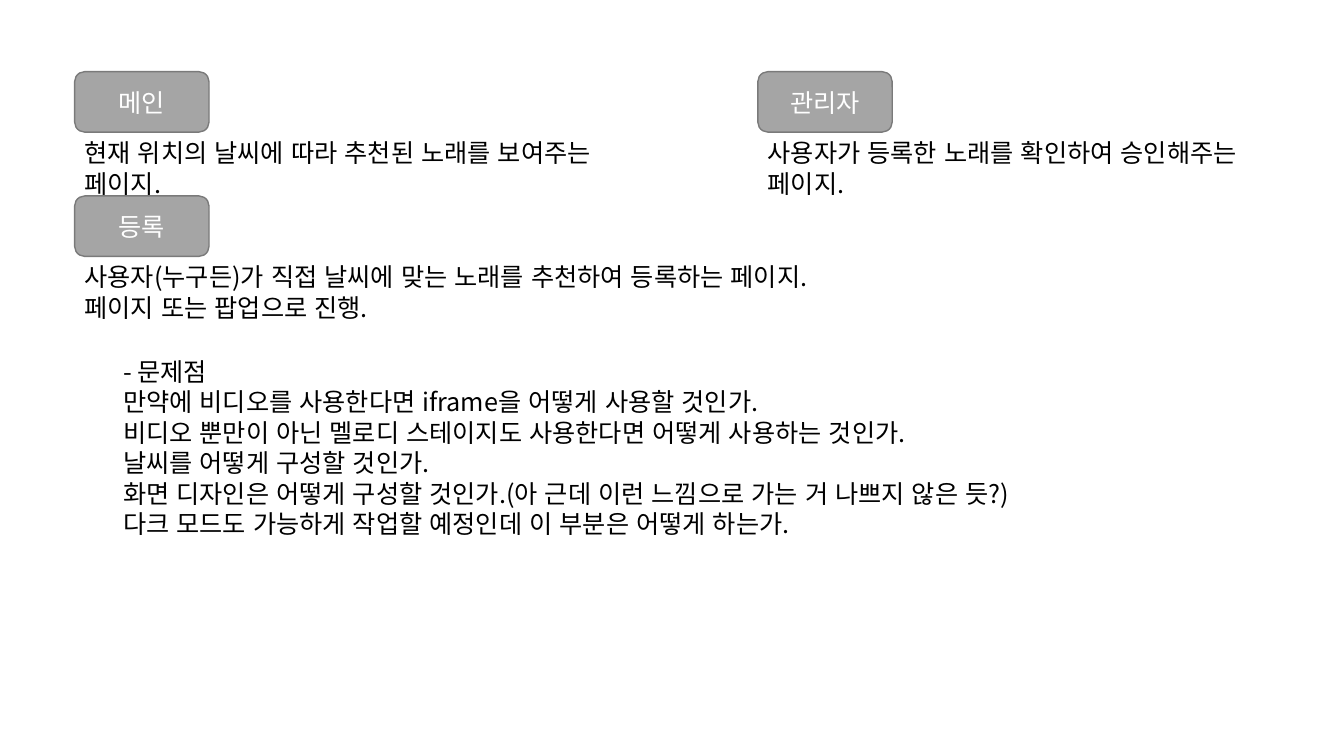
from pptx import Presentation
from pptx.dml.color import RGBColor
from pptx.enum.lang import MSO_LANGUAGE_ID
from pptx.enum.shapes import MSO_SHAPE
from pptx.enum.text import MSO_ANCHOR, PP_ALIGN
from pptx.oxml.ns import qn
from pptx.util import Inches, Pt

COLORS = {"badge": "A5A5A5", "edge": "7A7A7A", "light": "FFFFFF", "ink": "000000"}
COLUMNS, ROWS = 36, 25
BADGE_WIDTH, BADGE_HEIGHT = 3.6, 2


class PlanSlide:
    """Hold the text style and the current slide of the page plan."""

    def __init__(self, presentation):
        """Add a blank slide and derive the grid from its size."""
        self.slide = presentation.slides.add_slide(presentation.slide_layouts[6])
        self.column = presentation.slide_width / COLUMNS
        self.row = presentation.slide_height / ROWS
        self.font, self.size, self.leading = "Noto Sans CJK KR", Pt(18), Pt(21.8)

    def place(self, left, top, width, height):
        """Turn grid units into slide lengths."""
        return (round(left * self.column), round(top * self.row),
                round(width * self.column), round(height * self.row))

    def add_lines(self, frame, lines, color, align):
        """Add each line as one styled paragraph."""
        frame.word_wrap = True
        for index, line in enumerate(lines):
            paragraph = frame.add_paragraph() if index else frame.paragraphs[0]
            paragraph.alignment = align
            paragraph.line_spacing = self.leading
            run = paragraph.add_run()
            run.text = line
            run.font.name, run.font.size = self.font, self.size
            run.font.language_id = MSO_LANGUAGE_ID.KOREAN
            run.font.color.rgb = RGBColor.from_string(COLORS[color])
            properties = run.font._element
            east_asian = properties.makeelement(qn("a:ea"), {"typeface": self.font})
            properties.find(qn("a:latin")).addnext(east_asian)

    def badge(self, left, top, label):
        """Draw a rounded page label."""
        shape = self.slide.shapes.add_shape(
            MSO_SHAPE.ROUNDED_RECTANGLE, *self.place(left, top, BADGE_WIDTH, BADGE_HEIGHT))
        shape.shadow.inherit = False
        shape.fill.solid()
        shape.fill.fore_color.rgb = RGBColor.from_string(COLORS["badge"])
        shape.line.color.rgb = RGBColor.from_string(COLORS["edge"])
        shape.line.width = Pt(1)
        shape.text_frame.vertical_anchor = MSO_ANCHOR.MIDDLE
        self.add_lines(shape.text_frame, [label], "light", PP_ALIGN.CENTER)

    def text(self, left, top, width, height, lines):
        """Add a left-aligned text box."""
        box = self.slide.shapes.add_textbox(*self.place(left, top, width, height))
        self.add_lines(box.text_frame, lines, "ink", PP_ALIGN.LEFT)

    def page(self, left, top, width, height, label, lines):
        """Add a label with its description directly below."""
        self.badge(left, top, label)
        self.text(left, top + BADGE_HEIGHT, width, height, lines)


presentation = Presentation()
presentation.slide_width, presentation.slide_height = Inches(13.33), Inches(7.5)
plan = PlanSlide(presentation)

PAGES = [
    (2, 2.37, 15.8, 3.37, "메인",
     ["현재 위치의 날씨에 따라 추천된 노래를 보여주는 페이지."]),
    (20.3, 2.37, 14.4, 3.37, "관리자",
     ["사용자가 등록한 노래를 확인하여 승인해주는 페이지."]),
    (2, 6.48, 21.9, 2.37, "등록",
     ["사용자(누구든)가 직접 날씨에 맞는 노래를 추천하여 등록하는 페이지.",
      "페이지 또는 팝업으로 진행."]),
]
for page in PAGES:
    plan.page(*page)

plan.text(3.03, 11.6, 30, 6.4, [
    "- 문제점",
    "만약에 비디오를 사용한다면 iframe을 어떻게 사용할 것인가.",
    "비디오 뿐만이 아닌 멜로디 스테이지도 사용한다면 어떻게 사용하는 것인가.",
    "날씨를 어떻게 구성할 것인가.",
    "화면 디자인은 어떻게 구성할 것인가.(아 근데 이런 느낌으로 가는 거 나쁘지 않은 듯?)",
    "다크 모드도 가능하게 작업할 예정인데 이 부분은 어떻게 하는가.",
])

presentation.save("out.pptx")
